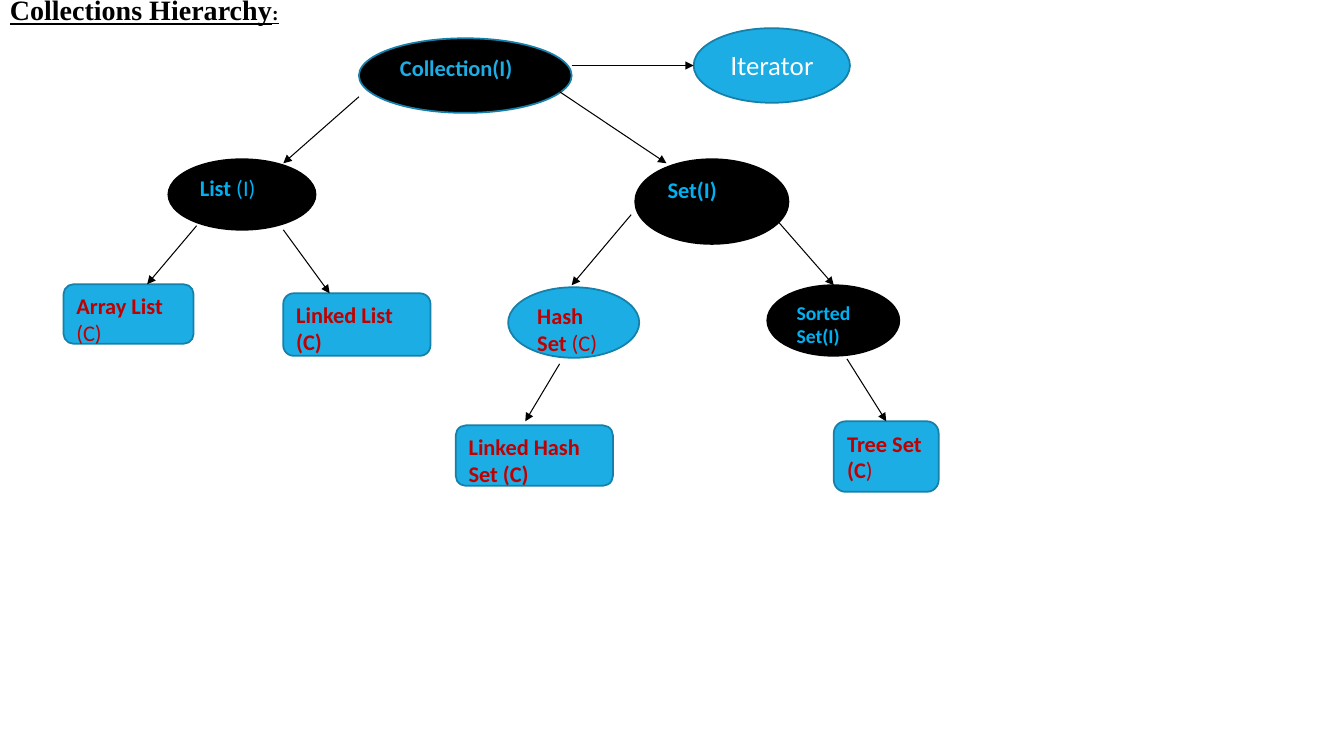
from dataclasses import dataclass
from typing import Optional

from lxml.etree import SubElement
from pptx import Presentation
from pptx.dml.color import RGBColor
from pptx.enum.shapes import MSO_CONNECTOR as Link, MSO_SHAPE as Kind
from pptx.enum.text import MSO_ANCHOR as Anchor, PP_ALIGN as Align
from pptx.oxml.ns import qn
from pptx.util import Inches, Pt

HUES = {"black": "000000", "blue": "1CADE4", "edge": "1580A9",
        "sky": "00B0F0", "red": "C00000", "white": "FFFFFF"}


@dataclass
class Run:
    text: str
    hue: str
    size: float = 16
    bold: bool = True
    font: str = "Calibri"
    under: bool = False


@dataclass
class Node:
    box: tuple[float, float, float, float]
    runs: list[Run]
    fill: str = "blue"
    edge: str = "edge"
    kind: Kind = Kind.OVAL
    mid: bool = False


@dataclass
class Arrow:
    start: tuple[float, float]
    end: tuple[float, float]
    goal: Optional[str] = None  # node whose top middle it joins


def color(hue: str) -> RGBColor:
    return RGBColor.from_string(HUES[hue])


def write(para, runs: list[Run]) -> None:
    for item in runs:
        run = para.add_run()
        run.text = item.text
        font = run.font
        font.name, font.size = item.font, Pt(item.size)
        font.bold, font.underline = item.bold, item.under
        font.color.rgb = color(item.hue)


def draw_node(slide, node: Node):
    shape = slide.shapes.add_shape(node.kind, *map(Inches, node.box))
    shape.shadow.inherit = False
    shape.fill.solid()
    shape.fill.fore_color.rgb = color(node.fill)
    shape.line.color.rgb = color(node.edge)
    shape.line.width = Pt(1.25)
    frame = shape.text_frame
    frame.word_wrap = True
    frame.vertical_anchor = Anchor.MIDDLE if node.mid else Anchor.TOP
    para = frame.paragraphs[0]
    para.alignment = Align.CENTER if node.mid else Align.LEFT
    write(para, node.runs)
    return shape


def draw_arrow(slide, arrow: Arrow, shapes: dict) -> None:
    ends = map(Inches, arrow.start + arrow.end)
    line = slide.shapes.add_connector(Link.STRAIGHT, *ends)
    line.line.color.rgb = color("black")
    line.line.width = Pt(0.75)
    if arrow.goal:
        line.end_connect(shapes[arrow.goal], 0)
    props = line.line._get_or_add_ln()
    SubElement(props, qn("a:tailEnd"), type="triangle")
    SubElement(line._element.spPr, qn("a:effectLst"))


def draw_title(slide) -> None:
    box = slide.shapes.add_textbox(*map(Inches, (0, -0.12, 2.88, 0.74)))
    frame = box.text_frame
    frame.word_wrap = False
    frame.vertical_anchor = Anchor.TOP
    style = {"hue": "black", "font": "Times New Roman", "under": True}
    write(frame.paragraphs[0], [Run("Collections Hierarchy", size=20, **style),
                                Run(":", size=14, **style)])


ROUND = Kind.ROUNDED_RECTANGLE
NODES = {
    # Interfaces
    "root": Node((3.56, 0.38, 2.11, 0.74), [Run("Collection(I)", "blue")], "black"),
    "set": Node((6.3, 1.58, 1.52, 0.84), [Run("Set(I)", "sky")], "black", "black"),
    "list": Node((1.67, 1.58, 1.46, 0.7),
                 [Run("List", "sky"), Run(" (I)", "sky", bold=False)], "black", "black"),
    "sorted": Node((7.61, 2.83, 1.31, 0.7),
                   [Run("Sorted Set(I)", "sky", 14)], "black", "black"),
    # Classes
    "hash": Node((5.04, 2.85, 1.3, 0.7),
                 [Run("Hash Set ", "red"), Run("(C)", "red", bold=False)]),
    "array": Node((0.63, 2.82, 1.29, 0.59),
                  [Run("Array List", "red"), Run(" (C)", "red", bold=False)], kind=ROUND),
    "linked": Node((2.81, 2.91, 1.46, 0.62), [Run("Linked List (C)", "red")], kind=ROUND),
    "chain": Node((4.52, 4.22, 1.56, 0.6), [Run("Linked Hash Set (C)", "red")], kind=ROUND),
    "tree": Node((8.27, 4.18, 1.04, 0.7),
                 [Run("Tree Set (C", "red"), Run(")", "red", bold=False)], kind=ROUND),
    # Helper
    "iter": Node((6.88, 0.28, 1.55, 0.74),
                 [Run("Iterator", "white", 18, False, "Lato")], mid=True),
}

ARROWS = [
    Arrow((3.56, 0.96), (2.81, 1.62)),
    Arrow((1.95, 2.24), (1.46, 2.82)),
    Arrow((2.81, 2.28), (3.27, 2.91)),
    Arrow((5.55, 0.91), (6.61, 1.62)),
    Arrow((6.26, 2.13), (5.67, 2.83)),
    Arrow((7.71, 2.19), (8.27, 2.83)),
    Arrow((5.55, 3.61), (5.21, 4.18)),
    Arrow((8.4, 3.56), (8.79, 4.18), "tree"),
    Arrow((5.67, 0.65), (6.88, 0.65)),
]


def main() -> None:
    deck = Presentation()
    deck.slide_width, deck.slide_height = Inches(13.33), Inches(7.5)
    slide = deck.slides.add_slide(deck.slide_layouts[6])
    shapes = {name: draw_node(slide, node) for name, node in NODES.items()}
    for arrow in ARROWS:
        draw_arrow(slide, arrow, shapes)
    draw_title(slide)
    deck.save("out.pptx")


if __name__ == "__main__":
    main()
